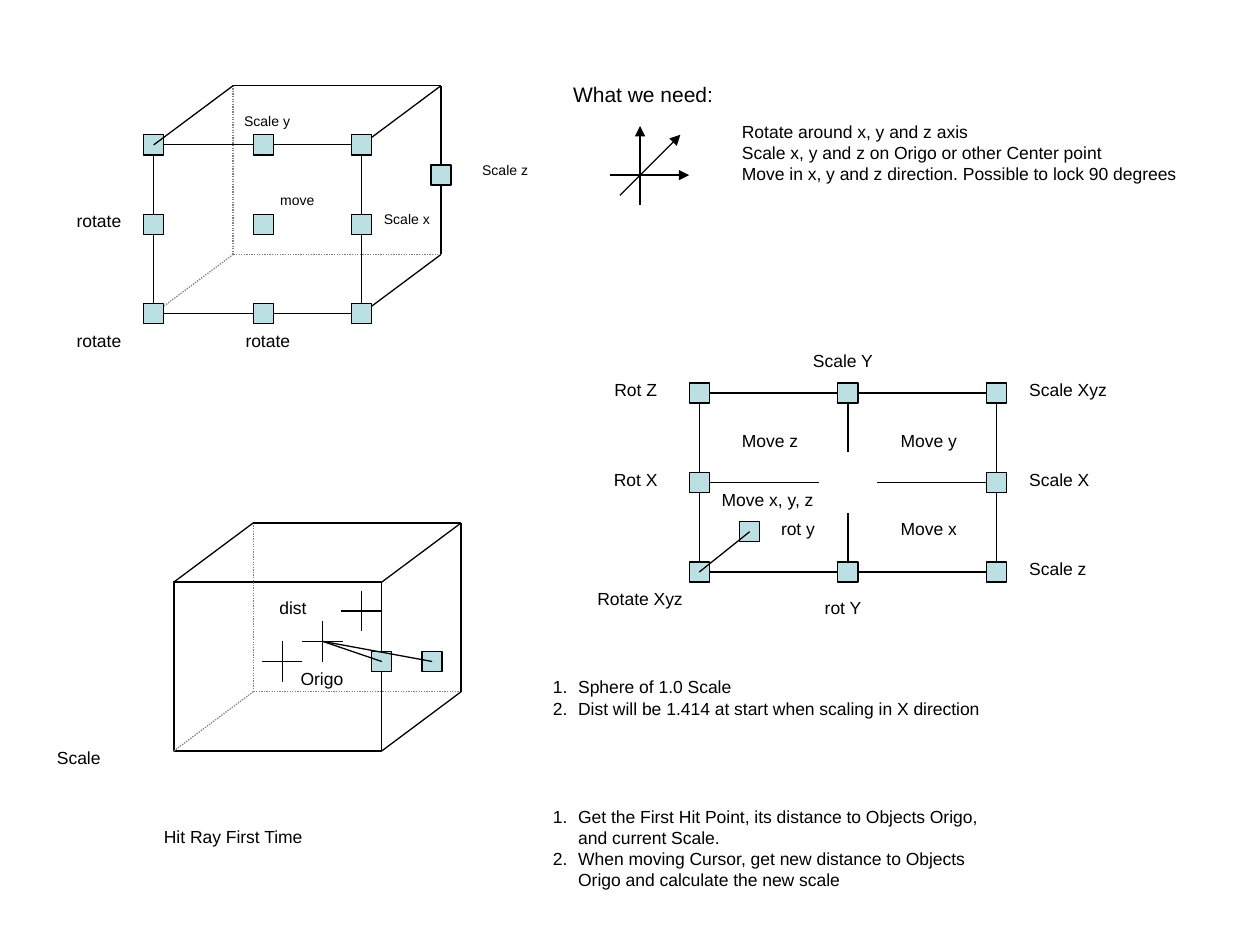
from pptx import Presentation
from pptx.dml.color import RGBColor
from pptx.enum.dml import MSO_LINE
from pptx.enum.shapes import MSO_CONNECTOR, MSO_SHAPE
from pptx.enum.text import PP_ALIGN
from pptx.oxml.ns import qn
from pptx.util import Inches, Pt
from lxml.etree import SubElement

BLACK = RGBColor(0x00, 0x00, 0x00)
GRAY = RGBColor(0x80, 0x80, 0x80)
AQUA = RGBColor(0xBB, 0xE0, 0xE3)
FONT = "Arial"
HANDLE = Inches(0.16)
CUBE_W, CUBE_H = Inches(1.65), Inches(1.34)
DEPTH_X, DEPTH_Y = Inches(0.63), Inches(0.47)


def add_rect(s, left, top, width, height, fill=None):
    sp = s.shapes.add_shape(MSO_SHAPE.RECTANGLE, left, top, width, height)
    sp.shadow.inherit = False
    if fill is None:
        sp.fill.background()
    else:
        sp.fill.solid()
        sp.fill.fore_color.rgb = fill
    sp.line.color.rgb = BLACK
    sp.line.width = Pt(0.75)


def add_handle(s, x, y):
    add_rect(s, x - HANDLE // 2, y - HANDLE // 2, HANDLE, HANDLE, AQUA)


def add_line(s, x1, y1, x2, y2, hidden=False, arrow=False):
    line = s.shapes.add_connector(MSO_CONNECTOR.STRAIGHT, x1, y1, x2, y2)
    line.line.color.rgb = GRAY if hidden else BLACK
    line.line.width = Pt(0.75)
    if hidden:
        line.line.dash_style = MSO_LINE.ROUND_DOT
    sp_pr = line._element.spPr
    if arrow:
        SubElement(sp_pr.find(qn("a:ln")), qn("a:tailEnd"), type="triangle")
    SubElement(sp_pr, qn("a:effectLst"))


def add_text(s, text, left, top, width, height=Inches(0.27), size=10,
             align=PP_ALIGN.LEFT, numbered=False, wrap=True):
    tf = s.shapes.add_textbox(left, top, width, height).text_frame
    tf.word_wrap = wrap
    tf.text = text
    for p in tf.paragraphs:
        if numbered:
            p_pr = p._p.get_or_add_pPr()
            p_pr.set("marL", str(Inches(0.2)))
            p_pr.set("indent", str(-Inches(0.2)))
            SubElement(p_pr, qn("a:buFont"), typeface=FONT)
            SubElement(p_pr, qn("a:buAutoNum"), type="arabicPeriod")
        p.alignment = align
        for r in p.runs:
            r.font.name = FONT
            r.font.size = Pt(size)
            r.font.color.rgb = BLACK


def add_labels(s, left, top, labels, **style):
    for text, dx, dy, width in labels:
        add_text(s, text, left + Inches(dx), top + Inches(dy), Inches(width), **style)


def add_cube(s, left, top):
    right, bottom = left + CUBE_W, top + CUBE_H
    back_left, back_right = left + DEPTH_X, right + DEPTH_X
    back_top, back_bottom = top - DEPTH_Y, bottom - DEPTH_Y
    add_rect(s, left, top, CUBE_W, CUBE_H)
    for corner in ((left, bottom), (back_left, back_top), (back_right, back_bottom)):
        add_line(s, *corner, back_left, back_bottom, hidden=True)
    for corner in ((right, top), (back_left, back_top), (back_right, back_bottom)):
        add_line(s, *corner, back_right, back_top)
    add_line(s, right, bottom, back_right, back_bottom)


def add_near_edge(s, left, top):
    add_line(s, left, top, left + DEPTH_X, top - DEPTH_Y)


def add_handle_cube(s, left, top):
    add_cube(s, left, top)
    xs = (left, left + Inches(0.87), left + CUBE_W)
    ys = (top, top + Inches(0.63), top + CUBE_H)
    for x in xs:
        for y in ys:
            add_handle(s, x, y)
    add_handle(s, left + CUBE_W + DEPTH_X, top + Inches(0.24))
    add_near_edge(s, left, top)
    add_labels(s, left, top, [
        ("Scale y", 0.47, -0.31, 0.86),
        ("Scale x", 1.58, 0.47, 0.86),
        ("Scale z", 2.36, 0.08, 0.86),
        ("move", 0.71, 0.32, 0.86),
    ], height=Inches(0.24), size=8, align=PP_ALIGN.CENTER)
    add_labels(s, left, top, [
        ("rotate", -0.79, 0.47, 0.71),
        ("rotate", -0.79, 1.42, 0.71),
        ("rotate", 0.55, 1.42, 0.71),
    ], align=PP_ALIGN.CENTER)


def add_cross(s, x, y):
    arm = Inches(0.16)
    add_line(s, x - arm, y, x + arm, y)
    add_line(s, x, y - arm, x, y + arm)


def add_hit_cube(s, left, top):
    add_cube(s, left, top)
    add_near_edge(s, left, top)
    origo = (left + Inches(1.18), top + Inches(0.47))
    hit_y = top + Inches(0.63)
    add_cross(s, left + Inches(0.86), hit_y)
    add_cross(s, left + Inches(1.49), top + Inches(0.23))
    add_cross(s, *origo)
    for x in (left + CUBE_W, left + Inches(2.05)):
        add_handle(s, x, hit_y)
        add_line(s, x, hit_y, *origo)
    add_labels(s, left, top, [
        ("dist", 0.63, 0.07, 0.63),
        ("Origo", 0.86, 0.63, 0.63),
        ("Scale", -1.11, 1.26, 0.71),
        ("Hit Ray First Time", -0.24, 1.89, 1.42),
    ], align=PP_ALIGN.CENTER)


def add_control_pad(s, left, top, width, height):
    mid_x, mid_y = left + width // 2, top + height // 2
    right, bottom = left + width, top + height
    arm_x, arm_y = Inches(0.95), Inches(0.47)
    add_rect(s, left, top, width, height)
    add_line(s, mid_x, top, mid_x, top + arm_y)
    add_line(s, mid_x, bottom, mid_x, bottom - arm_y)
    add_line(s, left, mid_y, left + arm_x, mid_y)
    add_line(s, right, mid_y, right - arm_x, mid_y)
    for x in (left, mid_x, right):
        for y in (top, mid_y, bottom):
            if (x, y) != (mid_x, mid_y):
                add_handle(s, x, y)
    inner = (left + Inches(0.4), bottom - Inches(0.32))
    add_handle(s, *inner)
    add_line(s, left, bottom, *inner)
    add_labels(s, left, top, [
        ("Scale Y", 0.71, -0.39, 0.86),
        ("Rot Z", -0.86, -0.16, 0.71),
        ("Rot X", -0.86, 0.55, 0.71),
        ("Rotate Xyz", -1.02, 1.5, 1.1),
        ("rot Y", 0.55, 1.57, 1.18),
    ], align=PP_ALIGN.CENTER)
    add_labels(s, left, top, [
        ("Scale Xyz", 2.52, -0.16, 1.18),
        ("Scale X", 2.52, 0.55, 0.71),
        ("Scale z", 2.52, 1.26, 0.71),
        ("Move z", 0.24, 0.24, 0.79),
        ("Move y", 1.5, 0.24, 0.79),
        ("Move x", 1.5, 0.94, 0.79),
        ("Move x, y, z", 0.08, 0.71, 1.1),
        ("rot y", 0.55, 0.94, 0.55),
    ])


def add_needs(s, left, top):
    add_text(s, "What we need:", left, top, Inches(1.31), Inches(0.3), size=12, wrap=False)
    x, y = left + Inches(0.63), top + Inches(0.79)
    near, far, diagonal = Inches(0.24), Inches(0.39), Inches(0.32)
    add_line(s, x, y + near, x, y - far, arrow=True)
    add_line(s, x - near, y, x + far, y, arrow=True)
    add_line(s, x - Inches(0.16), y + Inches(0.16), x + diagonal, y - diagonal, arrow=True)
    add_text(s, "Rotate around x, y and z axis\n"
                "Scale x, y and z on Origo or other Center point\n"
                "Move in x, y and z direction. Possible to lock 90 degrees",
             left + Inches(1.34), top + Inches(0.31), Inches(3.86), Inches(0.6))


def add_steps(s, left, top, width):
    add_text(s, "Sphere of 1.0 Scale\n"
                "Dist will be 1.414 at start when scaling in X direction",
             left, top, width, Inches(0.6), numbered=True)
    add_text(s, "Get the First Hit Point, its distance to Objects Origo, and current Scale.\n"
                "When moving Cursor, get new distance to Objects Origo and calculate the new scale",
             left, top + Inches(1.03), width, Inches(0.77), numbered=True)


def main():
    prs = Presentation()
    prs.slide_width, prs.slide_height = Inches(10), Inches(7.5)
    s = prs.slides.add_slide(prs.slide_layouts[6])
    add_handle_cube(s, Inches(1.22), Inches(1.15))
    add_needs(s, Inches(4.45), Inches(0.6))
    add_control_pad(s, Inches(5.55), Inches(3.12), Inches(2.36), Inches(1.42))
    add_hit_cube(s, Inches(1.38), Inches(4.62))
    add_steps(s, Inches(4.29), Inches(5.32), Inches(3.62))
    prs.save("out.pptx")


if __name__ == "__main__":
    main()
